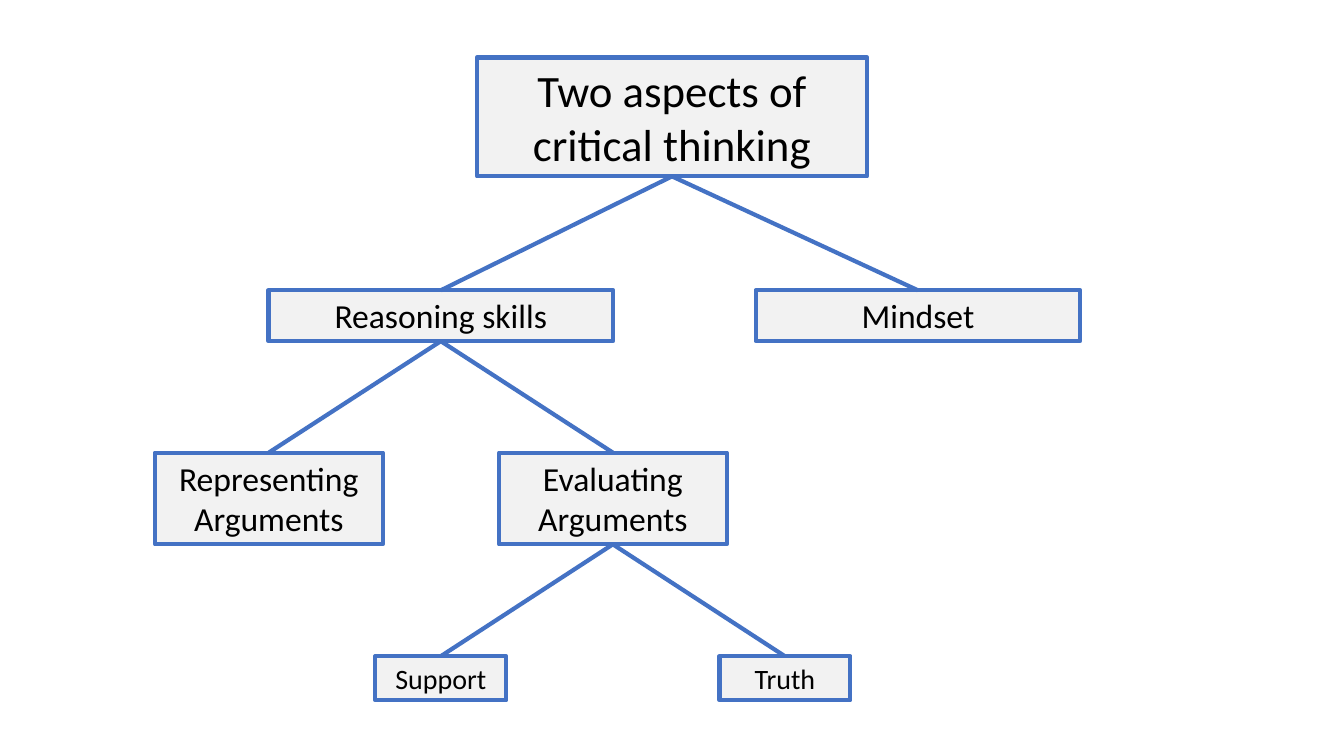
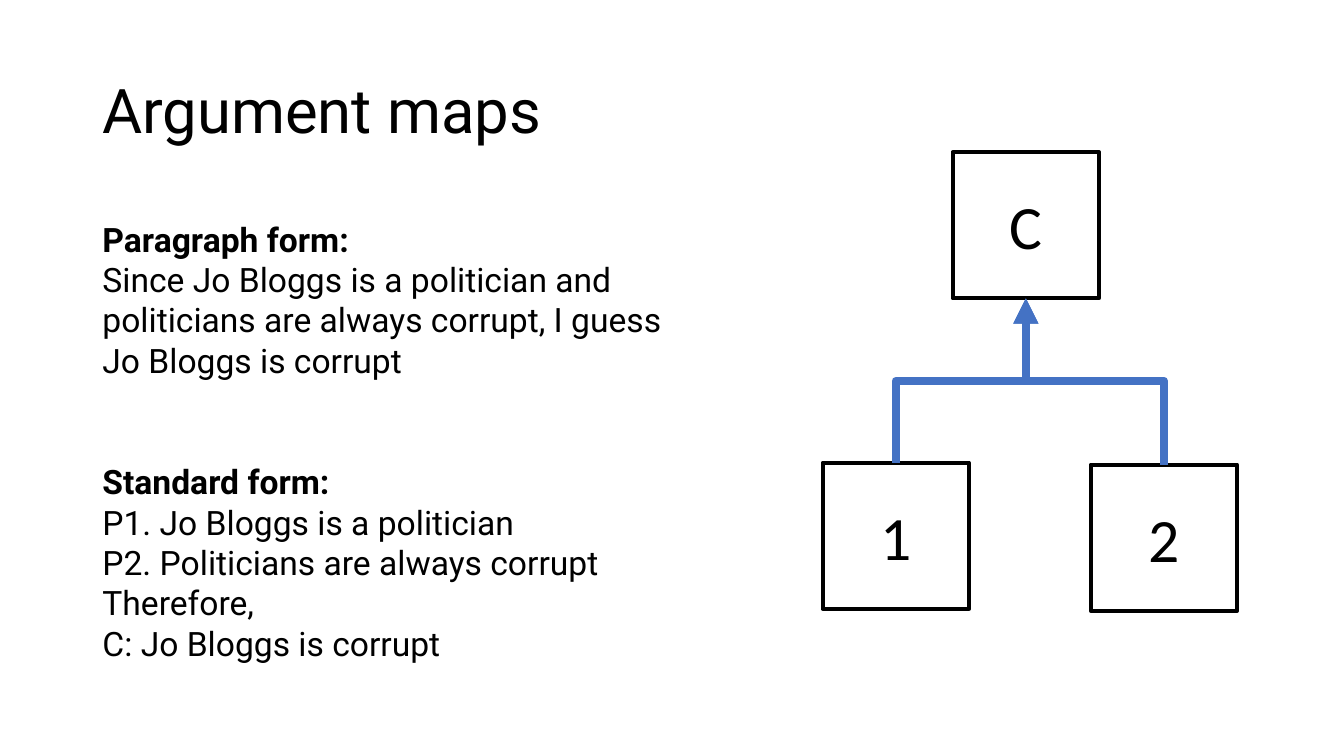
from dataclasses import dataclass

from lxml import etree
from pptx import Presentation
from pptx.dml.color import RGBColor
from pptx.enum.shapes import MSO_CONNECTOR, MSO_SHAPE
from pptx.enum.text import MSO_ANCHOR, MSO_AUTO_SIZE, PP_ALIGN
from pptx.oxml.ns import qn
from pptx.shapes.autoshape import Shape
from pptx.shapes.connector import Connector
from pptx.slide import Slide
from pptx.util import Inches, Pt

COLORS = {"text": "000000", "accent": "4472C4", "panel": "F2F2F2", "outline": "000000"}
BOX_FONT, PROSE_FONT = "Calibri", "Roboto"
BOX_LINE, ARROW_LINE = 3, 6
BOTTOM_SITE, TOP_SITE = 2, 0

prs = Presentation()
prs.slide_width, prs.slide_height = Inches(13.33), Inches(7.5)


@dataclass(frozen=True)
class Area:
    """Percentages of the slide; x is the horizontal centre."""
    x: float
    top: float
    width: float
    height: float

    def emu(self) -> tuple[int, int, int, int]:
        return (across(self.x - self.width / 2), down(self.top),
                across(self.width), down(self.height))


@dataclass(frozen=True)
class Level:
    top: float
    height: float
    size: int


@dataclass(frozen=True)
class Node:
    text: str
    x: float
    width: float
    level: Level
    children: tuple["Node", ...] = ()


@dataclass(frozen=True)
class Line:
    text: str
    bold: bool = False
    gap: int = 0


def across(share: float) -> int:
    return round(prs.slide_width * share / 100)


def down(share: float) -> int:
    return round(prs.slide_height * share / 100)


def rgb(name: str) -> RGBColor:
    return RGBColor.from_string(COLORS[name])


def new_slide() -> Slide:
    return prs.slides.add_slide(prs.slide_layouts[6])


def write(shape: Shape, lines: list[Line], font: str, size: int,
          align: PP_ALIGN = PP_ALIGN.LEFT, spacing: float = 1.0) -> None:
    frame = shape.text_frame
    frame.word_wrap = True
    for index, line in enumerate(lines):
        paragraph = frame.paragraphs[0] if index == 0 else frame.add_paragraph()
        paragraph.alignment = align
        paragraph.line_spacing = spacing
        paragraph.space_before = Pt(line.gap)
        run = paragraph.add_run()
        run.text = line.text
        run.font.name, run.font.size, run.font.bold = font, Pt(size), line.bold
        run.font.color.rgb = rgb("text")


def add_box(slide: Slide, area: Area, text: str, size: int, line: str,
            fill: str | None = None, anchor: MSO_ANCHOR = MSO_ANCHOR.MIDDLE) -> Shape:
    box = slide.shapes.add_shape(MSO_SHAPE.RECTANGLE, *area.emu())
    box.shadow.inherit = False
    if fill:
        box.fill.solid()
        box.fill.fore_color.rgb = rgb(fill)
    else:
        box.fill.background()
    box.line.color.rgb = rgb(line)
    box.line.width = Pt(BOX_LINE)
    box.text_frame.vertical_anchor = anchor
    write(box, [Line(text)], BOX_FONT, size, PP_ALIGN.CENTER)
    return box


def style_connector(connector: Connector, width: int) -> None:
    connector.line.color.rgb = rgb("accent")
    connector.line.width = Pt(width)
    etree.SubElement(connector._element.spPr, qn("a:effectLst"))


def add_branch(slide: Slide, parent: Shape, child: Shape) -> None:
    branch = slide.shapes.add_connector(MSO_CONNECTOR.STRAIGHT, 0, 0, 0, 0)
    branch.begin_connect(parent, BOTTOM_SITE)
    branch.end_connect(child, TOP_SITE)
    style_connector(branch, BOX_LINE)


def add_tree(slide: Slide, node: Node) -> Shape:
    level = node.level
    box = add_box(slide, Area(node.x, level.top, node.width, level.height), node.text,
                  level.size, "accent", "panel", MSO_ANCHOR.TOP)
    box.text_frame.auto_size = MSO_AUTO_SIZE.SHAPE_TO_FIT_TEXT
    for child in node.children:
        add_branch(slide, box, add_tree(slide, child))
    return box


def add_support_arrow(slide: Slide, premise: Shape, conclusion: Shape, bend: int) -> None:
    x1, y1 = premise.left + premise.width // 2, premise.top
    x2, y2 = conclusion.left + conclusion.width // 2, conclusion.top + conclusion.height
    rise, run = y1 - y2, x2 - x1
    left, middle = (x1 + x2 - rise) // 2, (y1 + y2) // 2
    arrow = slide.shapes.add_connector(MSO_CONNECTOR.ELBOW, left, middle - run // 2,
                                       left + rise, middle + run // 2)
    properties = arrow._element.spPr
    properties.find(qn("a:xfrm")).set("rot", str(270 * 60000))
    adjustments = properties.find(qn("a:prstGeom")).get_or_add_avLst()
    etree.SubElement(adjustments, qn("a:gd"), name="adj1",
                     fmla=f"val {round((y1 - bend) / rise * 100000)}")
    style_connector(arrow, ARROW_LINE)
    etree.SubElement(arrow.line._get_or_add_ln(), qn("a:tailEnd"), type="triangle")


def add_prose(slide: Slide, area: Area, lines: list[Line], size: int,
              anchor: MSO_ANCHOR = MSO_ANCHOR.TOP, spacing: float = 1.0) -> None:
    box = slide.shapes.add_textbox(*area.emu())
    box.text_frame.vertical_anchor = anchor
    write(box, lines, PROSE_FONT, size, spacing=spacing)


def build_aspects() -> None:
    root = Level(7.6, 15.73, 32)
    aspects = Level(38.4, 6.73, 24)
    skills = Level(59.87, 12.13, 24)
    criteria = Level(86.8, 5.83, 20)
    reasoning_x, spread = 32.8, 12.8
    evaluating_x = reasoning_x + spread
    add_tree(new_slide(), Node("Two aspects of critical thinking", 50, 29.03, root, (
        Node("Reasoning skills", reasoning_x, 25.65, aspects, (
            Node("Representing Arguments", reasoning_x - spread, 16.95, skills),
            Node("Evaluating Arguments", evaluating_x, 16.95, skills, (
                Node("Support", evaluating_x - spread, 9.75, criteria),
                Node("Truth", evaluating_x + spread, 9.75, criteria))))),
        Node("Mindset", 68.3, 24.15, aspects))))


def build_argument_maps() -> None:
    slide = new_slide()
    add_prose(slide, Area(50, 5.33, 86.25, 19.33), [Line("Argument maps")], 44,
              MSO_ANCHOR.MIDDLE, 0.9)
    add_prose(slide, Area(28.45, 28.27, 43.13, 66), [
        Line("Paragraph form:", bold=True),
        Line("Since Jo Bloggs is a politician and politicians are always corrupt, "
             "I guess Jo Bloggs is corrupt"),
        Line("Standard form:", bold=True, gap=58),
        Line("P1. Jo Bloggs is a politician"),
        Line("P2. Politicians are always corrupt"),
        Line("Therefore,"),
        Line("C: Jo Bloggs is corrupt")], 24)
    first, second, conclusion = (
        add_box(slide, Area(x, top, 10.88, 19.33), label, 44, "outline")
        for label, x, top in (("1", 66.65, 61.2), ("2", 86.6, 61.47), ("C", 76.33, 20.13)))
    for premise in (first, second):
        add_support_arrow(slide, premise, conclusion, down(50.4))


build_aspects()
build_argument_maps()
prs.save("out.pptx")
